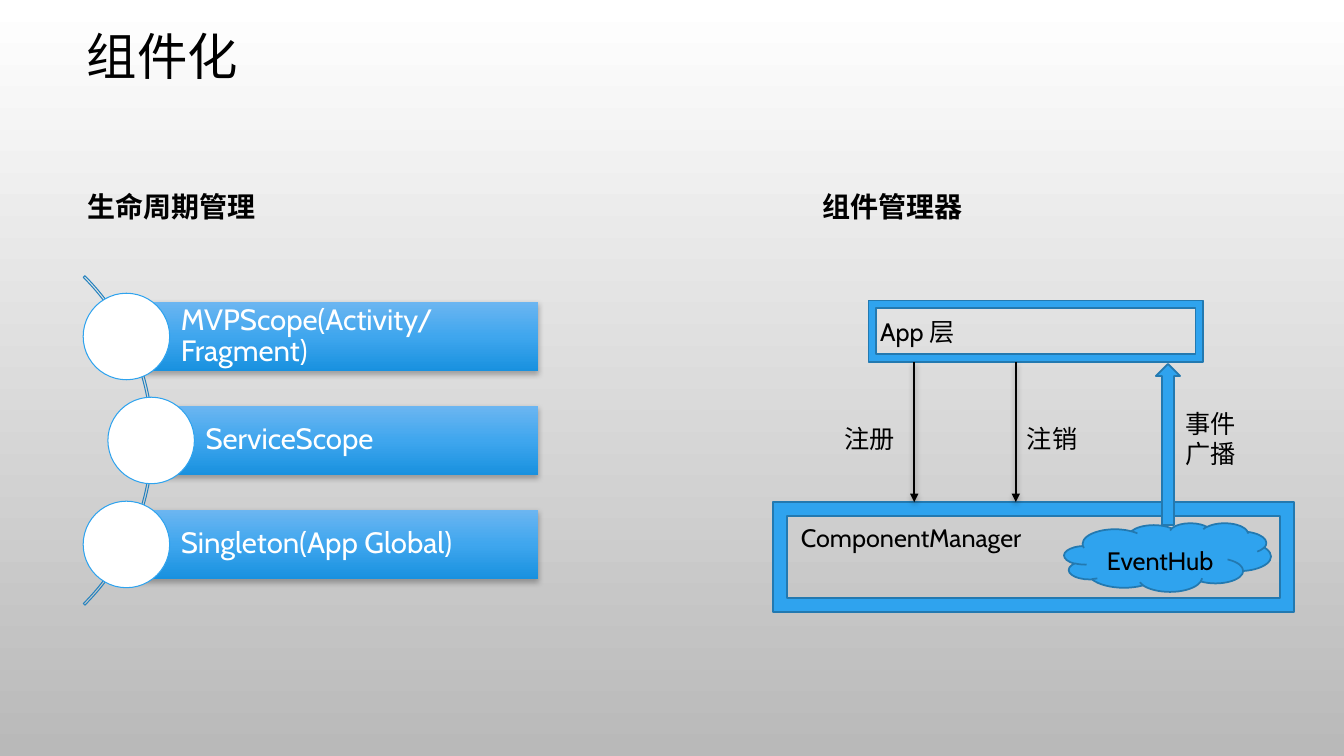
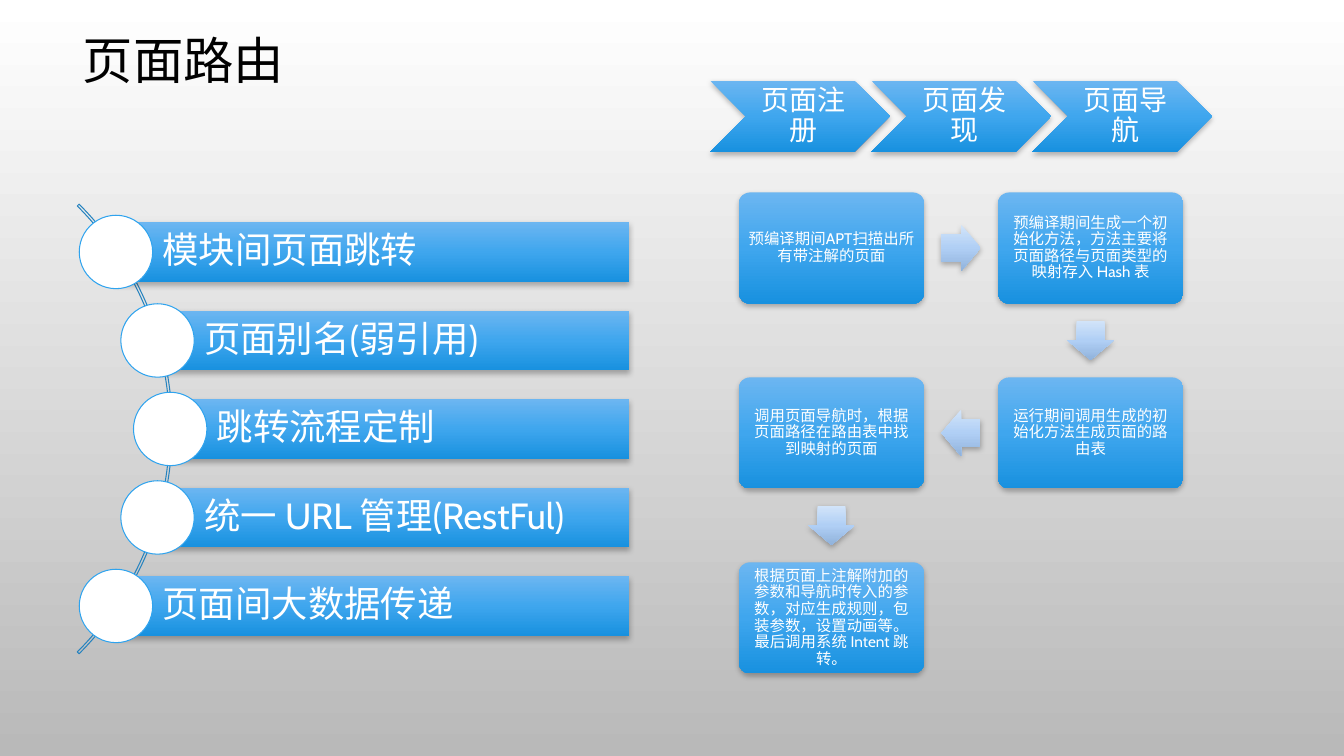
from copy import deepcopy
from dataclasses import dataclass
from itertools import pairwise
from math import atan2, degrees, sqrt

from lxml.etree import SubElement
from pptx import Presentation
from pptx.dml.color import RGBColor
from pptx.dml.fill import FillFormat
from pptx.enum.shapes import MSO_CONNECTOR, MSO_SHAPE
from pptx.enum.text import MSO_ANCHOR, PP_ALIGN
from pptx.oxml.ns import qn
from pptx.oxml.xmlchemy import BaseOxmlElement
from pptx.shapes.autoshape import Shape
from pptx.slide import Slide
from pptx.util import Cm, Pt

HUES = {
    "black": "000000", "white": "FFFFFF", "gray": "B9B9B9",
    "blue": "2FA3EE", "edge": "2379B0", "arc": "2683BF",
    "top": "6CB6F1", "mid": "3FA6EE", "low": "1891DF",
    "pale": "D2E4F9", "soft": "B0CFF5", "dim": "90B2DB",
}
FONT = "Cabin"
PAGE = ("white", "gray")
GLOSS = ("top", "mid", "low")
MIST = ("pale", "soft", "dim")


@dataclass(frozen=True)
class Box:
    """Left, top, width and height in centimetres."""
    x: float
    y: float
    w: float
    h: float


@dataclass(frozen=True)
class Style:
    size: float
    hue: str = "black"
    bold: bool = False
    align: PP_ALIGN = PP_ALIGN.LEFT
    anchor: MSO_ANCHOR = MSO_ANCHOR.TOP
    pads: tuple[float, float, float, float] = (0.25, 0.13, 0.25, 0.13)
    lead: float = 1.0


@dataclass(frozen=True)
class Label:
    text: str
    box: Box
    style: Style


@dataclass(frozen=True)
class Fan:
    """Bars whose bulbs follow an arc about (x, y)."""
    x: float
    y: float
    radius: float
    thick: float
    step: float
    bar: float
    bulb: float
    right: float
    indent: float
    pad: float
    size: float
    items: tuple[str, ...]


@dataclass(frozen=True)
class Step:
    col: int
    row: int
    text: str


CENTER, MIDDLE = PP_ALIGN.CENTER, MSO_ANCHOR.MIDDLE
TITLE = Style(36, align=CENTER, anchor=MIDDLE, lead=0.9)
HEAD = Style(20, bold=True)
NOTE = Style(18)
CARD = Style(11, "white", align=CENTER, anchor=MIDDLE, pads=(0.13,) * 4, lead=0.9)
STAGE = Style(20, "white", align=CENTER, anchor=MIDDLE,
              pads=(0.23, 0.08, 0.08, 0.08), lead=0.9)

SCOPES = Fan(-2.01, 11.1, 5.87, 0.005, 2.62, 1.75, 2.18, 13.56, 1.37, 0.15, 21,
             ("MVPScope(Activity/Fragment)", "ServiceScope", "Singleton(App Global)"))
ROUTES = Fan(-3.67, 10.81, 8.01, 0.004, 2.23, 1.5, 1.85, 15.85, 1.17, 0.17, 26,
             ("模块间页面跳转", "页面别名(弱引用)", "跳转流程定制",
              "统一 URL 管理(RestFul)", "页面间大数据传递"))
LABELS = (
    Label("生命周期管理", Box(1.96, 4.65, 5.13, 1.12), HEAD),
    Label("组件管理器", Box(20.47, 4.65, 5.13, 1.12), HEAD),
    Label("注册", Box(21.03, 10.54, 2.29, 1.02), NOTE),
    Label("注销", Box(25.63, 10.54, 2.29, 1.02), NOTE),
    Label("事件广播", Box(29.62, 10.16, 2.11, 1.8), NOTE),
)
STAGES = ("页面注册", "页面发现", "页面导航")
STEPS = (
    Step(0, 0, "预编译期间APT扫描出所有带注解的页面"),
    Step(1, 0, "预编译期间生成一个初始化方法，方法主要将页面路径与页面类型的映射存入 Hash 表"),
    Step(1, 1, "运行期间调用生成的初始化方法生成页面的路由表"),
    Step(0, 1, "调用页面导航时，根据页面路径在路由表中找到映射的页面"),
    Step(0, 2, "根据页面上注解附加的参数和导航时传入的参数，对应生成规则，"
               "包装参数，设置动画等。最后调用系统 Intent 跳转。"),
)


def color(hue: str) -> RGBColor:
    return RGBColor.from_string(HUES[hue])


def grade(fill: FillFormat, root: BaseOxmlElement, hues: tuple[str, ...]) -> None:
    """Fill from top to bottom with evenly spaced stops."""
    fill.gradient()
    fill.gradient_angle = 270
    root.find(".//" + qn("a:gradFill")).set("rotWithShape", "0")
    stops = root.find(".//" + qn("a:gsLst"))
    while len(stops) < len(hues):
        stops.append(deepcopy(stops[0]))
    for i, (stop, hue) in enumerate(zip(fill.gradient_stops, hues)):
        stop.position = i / (len(hues) - 1)
        stop.color.rgb = color(hue)


def shade(effects: BaseOxmlElement) -> None:
    """Add the soft shadow that falls straight down."""
    cast = SubElement(effects, qn("a:outerShdw"), blurRad=str(Pt(4)), dist=str(Pt(2)),
                      dir="5400000", algn="ctr", rotWithShape="0")
    tint = SubElement(cast, qn("a:srgbClr"), val=HUES["black"])
    SubElement(tint, qn("a:alpha"), val="28000")


def write(shape: Shape, text: str, style: Style) -> None:
    frame = shape.text_frame
    frame.word_wrap = True
    frame.vertical_anchor = style.anchor
    (frame.margin_left, frame.margin_top,
     frame.margin_right, frame.margin_bottom) = map(Cm, style.pads)
    line = frame.paragraphs[0]
    line.text = text
    line.alignment = style.align
    line.line_spacing = style.lead
    line.font.name = FONT
    line.font.size = Pt(style.size)
    line.font.bold = style.bold
    line.font.color.rgb = color(style.hue)


def place(slide: Slide, label: Label) -> None:
    box = label.box
    shape = slide.shapes.add_textbox(Cm(box.x), Cm(box.y), Cm(box.w), Cm(box.h))
    write(shape, label.text, label.style)


def draw(slide: Slide, kind: MSO_SHAPE, box: Box, fill: str | None = None,
         edge: str = "edge", width: float = 1.25) -> Shape:
    """Add an outlined shape, plain or hollow."""
    shape = slide.shapes.add_shape(kind, Cm(box.x), Cm(box.y), Cm(box.w), Cm(box.h))
    shape.shadow.inherit = False
    if fill:
        shape.fill.solid()
        shape.fill.fore_color.rgb = color(fill)
    else:
        shape.fill.background()
    shape.line.color.rgb = color(edge)
    shape.line.width = Pt(width)
    return shape


def gloss(slide: Slide, kind: MSO_SHAPE, box: Box,
          hues: tuple[str, ...] = GLOSS) -> Shape:
    """Add a graded shape with a shadow and no outline."""
    shape = draw(slide, kind, box)
    shape.line.fill.background()
    props = shape.element.spPr
    grade(shape.fill, props, hues)
    shade(props.find(qn("a:effectLst")))
    return shape


def arrow(slide: Slide, x: float, top: float, end: float) -> None:
    link = slide.shapes.add_connector(MSO_CONNECTOR.STRAIGHT,
                                      Cm(x), Cm(top), Cm(x), Cm(end))
    link.line.color.rgb = color("black")
    link.line.width = Pt(1.75)
    props = link.element.spPr
    SubElement(props.find(qn("a:ln")), qn("a:tailEnd"), type="triangle")
    shade(SubElement(props, qn("a:effectLst")))


def spread(slide: Slide, fan: Fan) -> None:
    """Draw the arc, then each bar with its bulb."""
    side = 2 * fan.radius
    arc = draw(slide, MSO_SHAPE.BLOCK_ARC,
               Box(fan.x - fan.radius, fan.y - fan.radius, side, side),
               edge="arc", width=0.75)
    for i, value in enumerate((189, 27, fan.thick)):
        arc.adjustments[i] = value
    style = Style(fan.size, "white", anchor=MIDDLE,
                  pads=(fan.indent, fan.pad, fan.pad, fan.pad), lead=0.9)
    for i, text in enumerate(fan.items):
        drop = (i - (len(fan.items) - 1) / 2) * fan.step
        x = fan.x + sqrt((fan.radius - 0.05) ** 2 - drop ** 2)
        y = fan.y + drop
        bar = gloss(slide, MSO_SHAPE.RECTANGLE,
                    Box(x, y - fan.bar / 2, fan.right - x, fan.bar))
        write(bar, text, style)
        half = fan.bulb / 2
        draw(slide, MSO_SHAPE.OVAL, Box(x - half, y - half, fan.bulb, fan.bulb),
             "white", "blue", 0.75)


def flow(slide: Slide) -> None:
    """Draw the step cards, with an arrow from each to the next."""
    wide, high = 4.67, 2.8
    boxes = [Box(18.62 + 6.53 * s.col, 4.85 + 4.66 * s.row, wide, high) for s in STEPS]
    for step, box in zip(STEPS, boxes):
        card = gloss(slide, MSO_SHAPE.ROUNDED_RECTANGLE, box)
        card.adjustments[0] = 0.1
        write(card, step.text, CARD)
    span, girth = 0.99, 1.17
    for a, b in pairwise(boxes):
        x, y = (a.x + b.x + wide) / 2, (a.y + b.y + high) / 2
        mark = gloss(slide, MSO_SHAPE.RIGHT_ARROW,
                     Box(x - span / 2, y - girth / 2, span, girth), MIST)
        mark.adjustments[0] = 0.6
        mark.rotation = degrees(atan2(b.y - a.y, b.x - a.x))


def start(deck: Presentation, title: str, box: Box) -> Slide:
    """Add a slide with the shared backdrop and title."""
    slide = deck.slides.add_slide(deck.slide_layouts[6])
    grade(slide.background.fill, slide.element, PAGE)
    place(slide, Label(title, box, TITLE))
    return slide


def parts(deck: Presentation) -> None:
    slide = start(deck, "组件化", Box(0.69, 0.61, 6.81, 1.78))
    spread(slide, SCOPES)
    core = draw(slide, MSO_SHAPE.FRAME, Box(19.48, 12.65, 13.13, 2.77), "blue")
    write(core, "ComponentManager", Style(18, pads=(0.36, 0.16, 0, 0)))
    app = draw(slide, MSO_SHAPE.FRAME, Box(21.89, 7.57, 8.43, 1.55), "blue")
    write(app, "App 层", Style(18, anchor=MIDDLE, pads=(0.1, 0, 0, 0)))
    for x in (23.04, 25.6):
        arrow(slide, x, 9.12, 12.65)
    hub = draw(slide, MSO_SHAPE.CLOUD, Box(26.82, 13.18, 5.21, 1.73), "blue")
    write(hub, "EventHub", Style(18, align=CENTER, anchor=MIDDLE, pads=(0, 0.25, 0, 0)))
    draw(slide, MSO_SHAPE.UP_ARROW, Box(29.13, 9.17, 0.61, 4.06), "blue")
    for label in LABELS:
        place(slide, label)


def routes(deck: Presentation) -> None:
    slide = start(deck, "页面路由", Box(0.36, 0.71, 8.53, 1.75))
    spread(slide, ROUTES)
    flow(slide)
    for i, text in enumerate(STAGES):
        stage = gloss(slide, MSO_SHAPE.CHEVRON, Box(17.9 + 4.06 * i, 2.03, 4.53, 1.8))
        write(stage, text, STAGE)


def main() -> None:
    deck = Presentation()
    deck.slide_width, deck.slide_height = Cm(33.87), Cm(19.05)
    parts(deck)
    routes(deck)
    deck.save("out.pptx")


if __name__ == "__main__":
    main()
